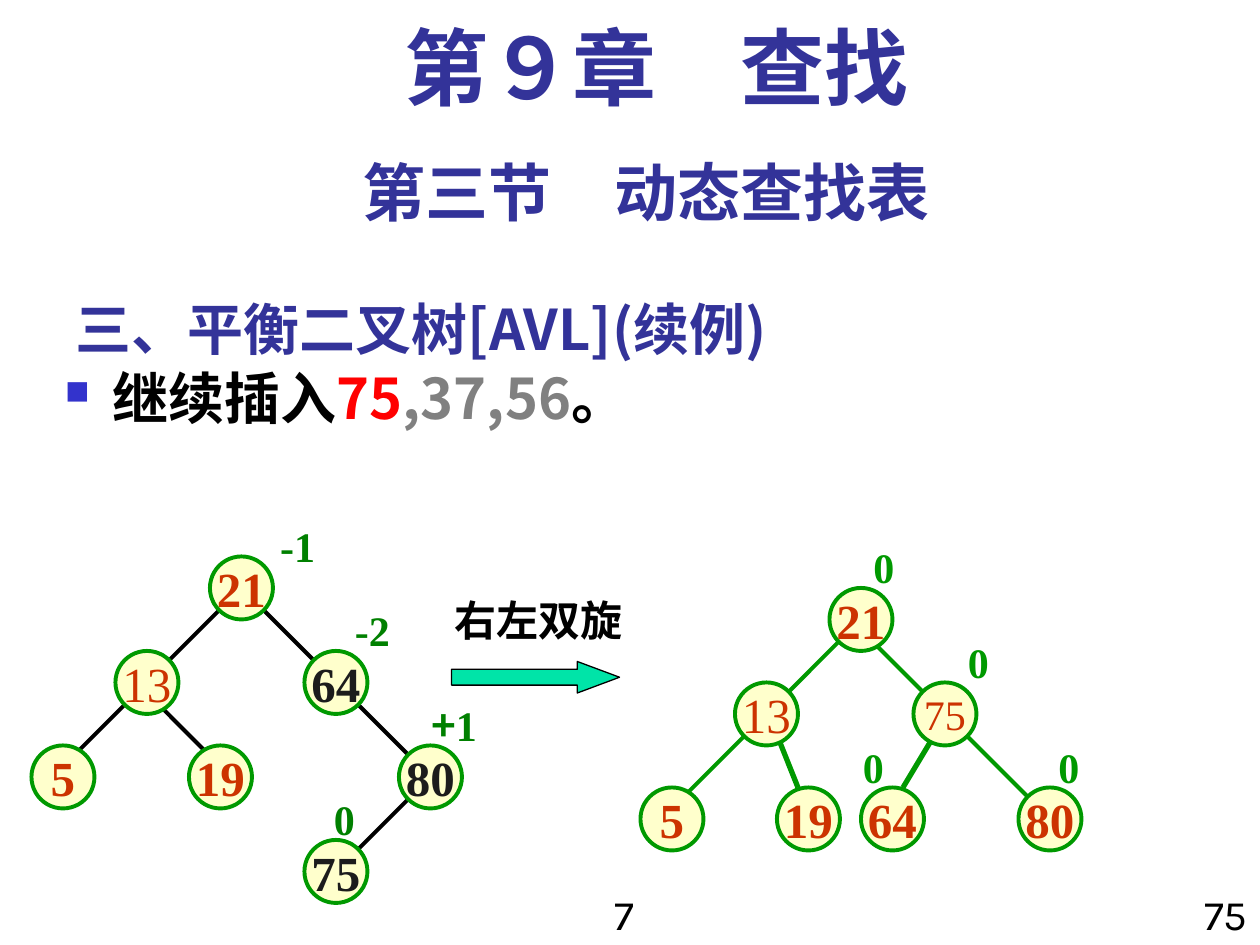
from lxml import etree
from pptx import Presentation
from pptx.dml.color import RGBColor
from pptx.enum.shapes import MSO_CONNECTOR, MSO_SHAPE
from pptx.enum.text import MSO_ANCHOR, MSO_AUTO_SIZE, PP_ALIGN
from pptx.oxml.ns import qn
from pptx.util import Emu, Pt

LEFT, CENTER, RIGHT = PP_ALIGN.LEFT, PP_ALIGN.CENTER, PP_ALIGN.RIGHT
TOP, MIDDLE, BOTTOM = MSO_ANCHOR.TOP, MSO_ANCHOR.MIDDLE, MSO_ANCHOR.BOTTOM
STRAIGHT = MSO_CONNECTOR.STRAIGHT
OVAL, RIGHT_ARROW = MSO_SHAPE.OVAL, MSO_SHAPE.RIGHT_ARROW
FIT_SHAPE = MSO_AUTO_SIZE.SHAPE_TO_FIT_TEXT

NOTO, TIMES, KARLA = "Noto Sans CJK SC", "Times New Roman", "Karla"

BLACK = RGBColor(0x00, 0x00, 0x00)
NAVY = RGBColor(0x33, 0x33, 0x99)
BLUE = RGBColor(0x33, 0x33, 0xCC)
RED = RGBColor(0xFF, 0x00, 0x00)
GRAY = RGBColor(0x80, 0x80, 0x80)
CREAM = RGBColor(0xFF, 0xFF, 0xCC)
GREEN = RGBColor(0x00, 0x99, 0x00)
DARK_GREEN = RGBColor(0x00, 0x80, 0x00)
TEAL = RGBColor(0x00, 0xE4, 0xA8)
RUST = RGBColor(0xCC, 0x33, 0x00)
INK = RGBColor(0x1C, 0x1C, 0x1C)

NODE = 48
LABEL_H = 48

# Edges: x1, y1, x2, y2, line width. Nodes: key, x, y, colour, size, bold.
# Balance factors: text, x, y, width.
LEFT_EDGES = [
    (168, 464, 128, 504, 2.25), (200, 464, 240, 504, 2.25),
    (104, 528, 56, 576, 2.25), (120, 536, 160, 576, 2.25),
    (272, 536, 312, 576, 2.25), (312, 608, 272, 648, 2.25),
]
LEFT_NODES = [
    ("21", 160, 424, RUST, 28, True), ("13", 88, 496, RUST, 28, False),
    ("64", 232, 496, INK, 28, True), ("5", 24, 568, RUST, 28, True),
    ("19", 144, 568, RUST, 28, True), ("80", 304, 568, INK, 28, True),
    ("75", 232, 640, INK, 28, True),
]
LEFT_FACTORS = [
    ("-1", 204, 392, 46), ("-2", 261, 456, 46),
    ([("+", {"font": NOTO}), ("1", {})], 319, 528, 54), ("0", 245, 600, 35),
]
RIGHT_EDGES = [
    (640, 488, 600, 528, 2.25), (664, 488, 712, 536, 2.25),
    (568, 560, 520, 608, 2.25), (592, 560, 608, 600, 3),
    (712, 560, 688, 600, 3), (736, 560, 792, 616, 2.25),
]
RIGHT_NODES = [
    ("21", 632, 448, RUST, 28, True), ("13", 560, 520, RUST, 28, False),
    ("75", 696, 520, RUST, 24, False), ("5", 488, 600, RUST, 28, True),
    ("19", 592, 600, RUST, 28, True), ("64", 656, 600, RUST, 28, True),
    ("80", 776, 600, RUST, 28, True),
]
RIGHT_FACTORS = [
    ("0", 656, 408, 35), ("0", 728, 480, 35),
    ("0", 648, 560, 35), ("0", 797, 560, 35),
]


def px(n):
    return Emu(n * 9525)


def add_bullet(p):
    pPr = p._p.get_or_add_pPr()
    pPr.set("marL", str(px(36)))
    pPr.set("indent", str(-px(36)))
    color = etree.SubElement(pPr, qn("a:buClr"))
    etree.SubElement(color, qn("a:srgbClr"), val=str(BLUE))
    etree.SubElement(pPr, qn("a:buSzPct"), val="60000")
    etree.SubElement(pPr, qn("a:buChar"), char="■")


def write(tf, text, size=24, color=BLACK, font=TIMES, bold=True, align=LEFT,
          anchor=TOP, wrap=True, bullet=False, spacing=None):
    """Fill a frame with a string, or with (text, overrides) runs."""
    tf.word_wrap = wrap
    tf.vertical_anchor = anchor
    p = tf.paragraphs[0]
    p.alignment = align
    if spacing:
        p.line_spacing = spacing
    if bullet:
        add_bullet(p)
    for part, own in [(text, {})] if isinstance(text, str) else text:
        r = p.add_run()
        r.text = part
        r.font.size = Pt(size)
        r.font.bold = bold
        r.font.color.rgb = own.get("color", color)
        r.font.name = own.get("font", font)
        etree.SubElement(r._r.get_or_add_rPr(), qn("a:ea"), typeface=NOTO)


def add_text(shapes, text, x, y, w, h, fit=False, **fmt):
    tf = shapes.add_textbox(px(x), px(y), px(w), px(h)).text_frame
    write(tf, text, **fmt)
    if fit:
        tf.auto_size = FIT_SHAPE


def add_filled(shapes, kind, x, y, w, h, fill, line, width):
    sp = shapes.add_shape(kind, px(x), px(y), px(w), px(h))
    sp.shadow.inherit = False
    sp.fill.solid()
    sp.fill.fore_color.rgb = fill
    sp.line.color.rgb = line
    sp.line.width = Pt(width)
    return sp


def add_edge(shapes, x1, y1, x2, y2, width, color):
    line = shapes.add_connector(STRAIGHT, px(x1), px(y1), px(x2), px(y2))
    line.line.color.rgb = color
    line.line.width = Pt(width)
    etree.SubElement(line._element.spPr, qn("a:effectLst"))


def add_node(shapes, key, x, y, color, size, bold):
    sp = add_filled(shapes, OVAL, x, y, NODE, NODE, CREAM, GREEN, 2.25)
    write(sp.text_frame, key, size=size, color=color, bold=bold,
          align=CENTER, anchor=MIDDLE, wrap=False)


def add_tree(shapes, edges, nodes, factors, edge_color, factor_color):
    for edge in edges:
        add_edge(shapes, *edge, edge_color)
    for node in nodes:
        add_node(shapes, *node)
    for text, x, y, w in factors:
        add_text(shapes, text, x, y, w, LABEL_H, fit=True,
                 color=factor_color, wrap=False)


def add_rotation(shapes):
    add_text(shapes, "右左双旋", 337, 448, 147, LABEL_H, fit=True, wrap=False)
    arrow = add_filled(shapes, RIGHT_ARROW, 344, 504, 128, 24, TEAL, BLACK, 0.75)
    arrow.adjustments[0] = 0.5
    arrow.adjustments[1] = 1.34


def main():
    prs = Presentation()
    prs.slide_width, prs.slide_height = px(960), px(720)
    s = prs.slides.add_slide(prs.slide_layouts[6])

    add_text(s.shapes, "第９章\u3000查找".replace("\u3000", "　"), 64, 16, 872, 80,
             size=48, color=NAVY, align=CENTER, spacing=0.9)
    add_text(s.shapes, "第三节　动态查找表", 48, 112, 888, 67, fit=True,
             size=36, color=NAVY, font=KARLA, align=CENTER)
    add_text(s.shapes, "三、平衡二叉树[AVL](续例)", 48, 208, 744, 72,
             size=32, color=NAVY, font=NOTO, anchor=BOTTOM)
    inserted = [("继续插入", {}), ("75", {"color": RED}),
                (",37,56", {"color": GRAY}), ("。", {})]
    add_text(s.shapes, inserted, 40, 272, 920, 448,
             size=32, font=NOTO, bullet=True)
    add_text(s.shapes, "7", 448, 672, 56, 48, fit=True,
             font=KARLA, bold=False, align=CENTER)
    add_text(s.shapes, "75", 896, 672, 64, 57, fit=True,
             font=KARLA, bold=False, align=RIGHT)

    before = s.shapes.add_group_shape().shapes
    add_tree(before, LEFT_EDGES, LEFT_NODES, LEFT_FACTORS, BLACK, DARK_GREEN)
    add_rotation(before)
    after = s.shapes.add_group_shape().shapes
    add_tree(after, RIGHT_EDGES, RIGHT_NODES, RIGHT_FACTORS, GREEN, GREEN)

    prs.save("out.pptx")


if __name__ == "__main__":
    main()
